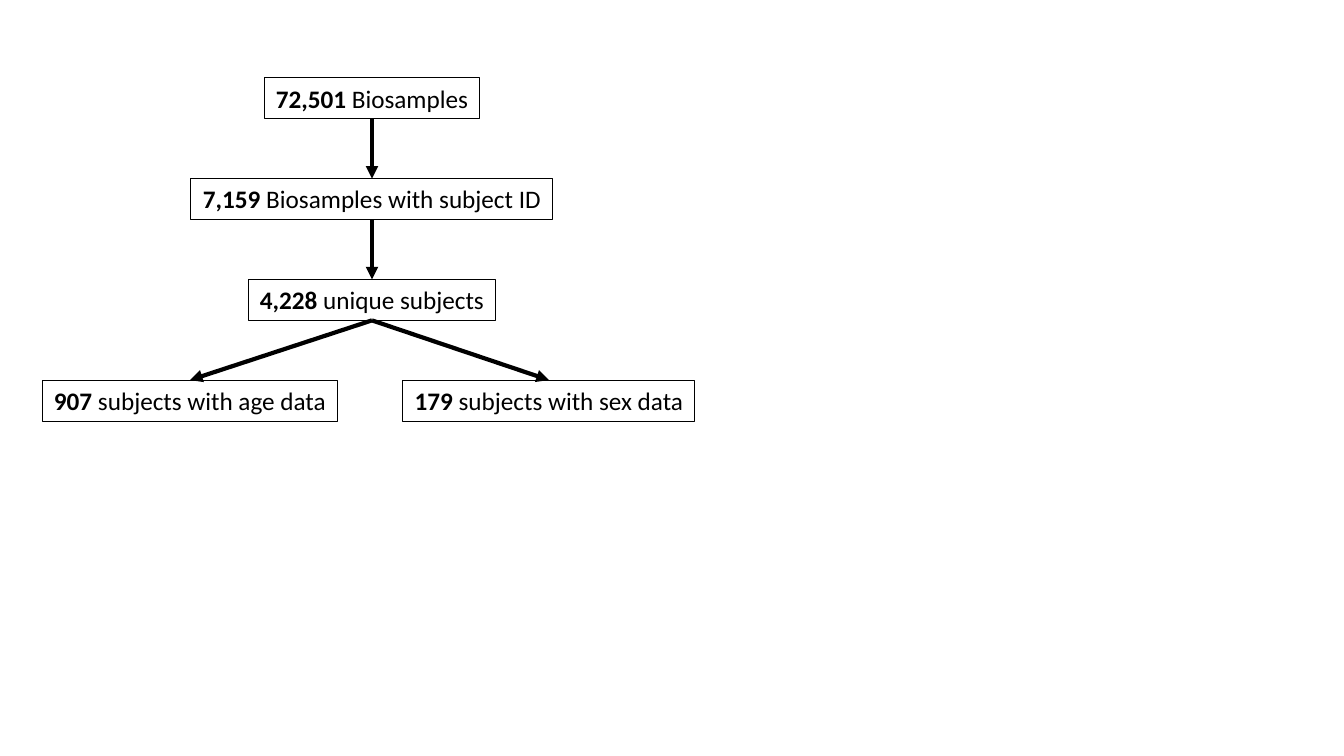
from lxml import etree
from pptx import Presentation
from pptx.dml.color import RGBColor
from pptx.enum.shapes import MSO_CONNECTOR
from pptx.enum.text import MSO_AUTO_SIZE, PP_ALIGN
from pptx.oxml.ns import qn
from pptx.util import Emu, Pt

STRAIGHT = MSO_CONNECTOR.STRAIGHT
CENTER = PP_ALIGN.CENTER
FIT_SHAPE = MSO_AUTO_SIZE.SHAPE_TO_FIT_TEXT
BLACK = RGBColor(0, 0, 0)
FONT = "Calibri"
TOP_SITE, BOTTOM_SITE = 0, 2

# key: (count, label, centre x, row, width)
BOXES = {
    "samples": ("72,501", " Biosamples", 372, 0, 215),
    "with_id": ("7,159", " Biosamples with subject ID", 372, 1, 362),
    "subjects": ("4,228", " unique subjects", 372, 2, 247),
    "age": ("907", " subjects with age data", 190, 3, 295),
    "sex": ("179", " subjects with sex data", 549, 3, 292),
}
ARROWS = [
    ("samples", "with_id"),
    ("with_id", "subjects"),
    ("subjects", "sex"),
    ("subjects", "age"),
]
FIRST_TOP, ROW_STEP, BOX_HEIGHT = 78, 100.7, 41


def px(n):
    """Turn pixels into EMU."""
    return Emu(round(n * 914400 / 100.8))


def add_box(s, count, label, center, row, width):
    """Add an outlined box with a bold count and a plain label."""
    box = s.shapes.add_textbox(px(center - width / 2), px(FIRST_TOP + row * ROW_STEP),
                               px(width), px(BOX_HEIGHT))
    box.line.color.rgb = BLACK
    box.line.width = Pt(0.75)
    tf = box.text_frame
    tf.word_wrap = False
    tf.auto_size = FIT_SHAPE
    p = tf.paragraphs[0]
    p.alignment = CENTER
    p.font.name, p.font.size = FONT, Pt(18)
    p.font.color.rgb = BLACK
    for text, bold in ((count, True), (label, False)):
        r = p.add_run()
        r.text = text
        r.font.bold = bold
    return box


def add_arrow(s, source, target):
    """Join the bottom of one box to the top of another with an arrow."""
    line = s.shapes.add_connector(STRAIGHT, 0, 0, 0, 0)
    line.begin_connect(source, BOTTOM_SITE)
    line.end_connect(target, TOP_SITE)
    line.line.color.rgb = BLACK
    line.line.width = Pt(3)
    etree.SubElement(line.line._get_or_add_ln(), qn("a:tailEnd"), type="triangle")
    etree.SubElement(line._element.spPr, qn("a:effectLst"))


prs = Presentation()
prs.slide_width, prs.slide_height = px(1344), px(756)
s = prs.slides.add_slide(prs.slide_layouts[6])
boxes = {key: add_box(s, *content) for key, content in BOXES.items()}
for source, target in ARROWS:
    add_arrow(s, boxes[source], boxes[target])
prs.save("out.pptx")
